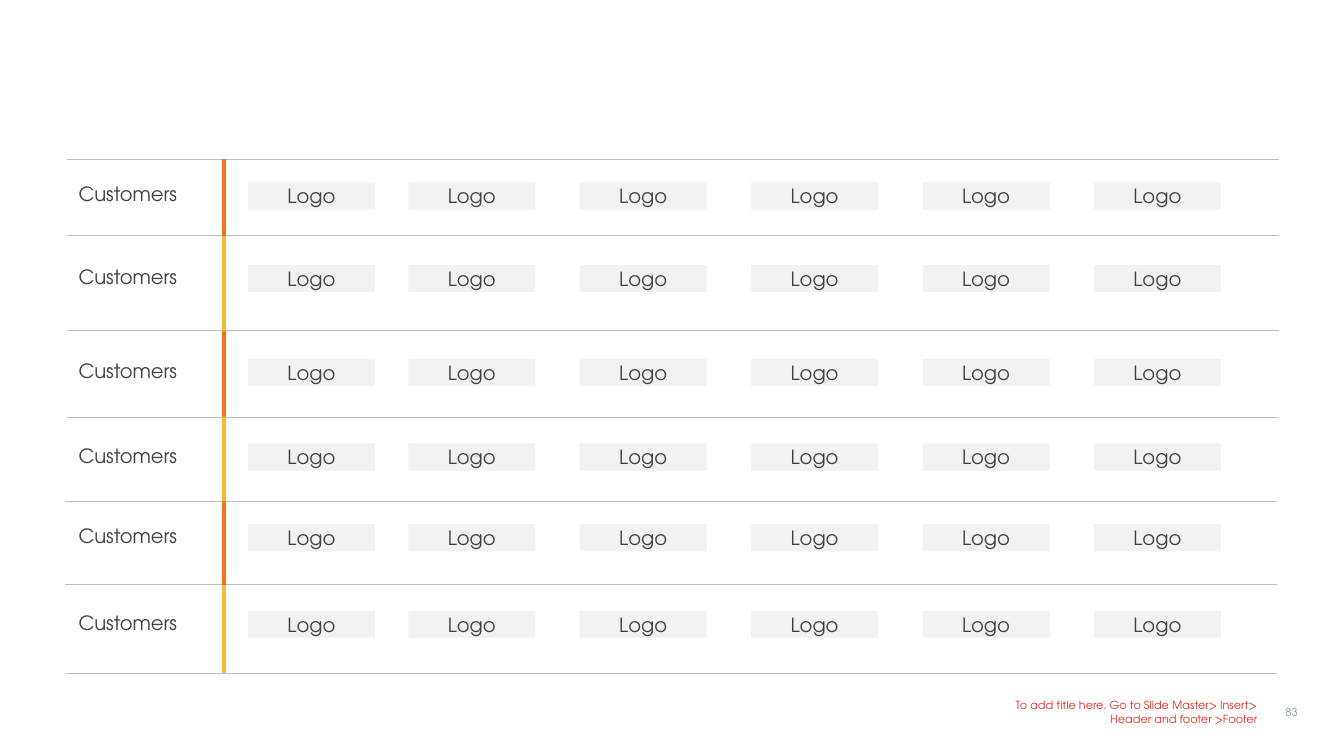
from lxml import etree
from pptx import Presentation
from pptx.dml.color import RGBColor
from pptx.enum import shapes, text
from pptx.oxml import ns
from pptx.util import Inches, Pt

FONT = "TeX Gyre Adventor"
INK = RGBColor(0x41, 0x40, 0x43)
RULE_GRAY = RGBColor(0xBF, 0xBF, 0xBF)
TILE_GRAY = RGBColor(0xF2, 0xF2, 0xF2)
ORANGE = RGBColor(0xF0, 0x76, 0x24)
YELLOW = RGBColor(0xF4, 0xBD, 0x2D)
RED = RGBColor(0xDA, 0x31, 0x26)
NUMBER_GRAY = RGBColor(0x88, 0x9D, 0xAC)

deck = Presentation()
deck.slide_width, deck.slide_height = Inches(13.33), Inches(7.5)
page = deck.slides.add_slide(deck.slide_layouts[6])


def write(box, words, size, color, align, **frame_format):
    frame = box.text_frame
    for name, value in {"word_wrap": True, **frame_format}.items():
        setattr(frame, name, value)
    para = frame.paragraphs[0]
    para.alignment = align
    span = para.add_run()
    span.text = words
    for name, value in {"name": FONT, "size": Pt(size)}.items():
        setattr(span.font, name, value)
    span.font.color.rgb = color
    return span


def draw_line(x1, y1, x2, y2, color, width):
    line = page.shapes.add_connector(
        shapes.MSO_CONNECTOR.STRAIGHT, Inches(x1), Inches(y1), Inches(x2), Inches(y2))
    line.line.color.rgb = color
    line.line.width = Pt(width)
    etree.SubElement(line._element.spPr, ns.qn("a:effectLst"))


rule_tops = [1.58, 2.34, 3.28, 4.14, 4.97, 5.8, 6.68]
row_tops = [1.81, 2.63, 3.56, 4.4, 5.2, 6.06]
tile_lefts = [2.46] + [4.05 + 1.7 * column for column in range(5)]

for index, top in enumerate(rule_tops):
    left = 0.66 if index < 4 else 0.64
    draw_line(left, top, left + 12.03, top, RULE_GRAY, 0.5)

for row, top in enumerate(row_tops):
    accent = YELLOW if row % 2 else ORANGE
    draw_line(2.22, rule_tops[row], 2.22, rule_tops[row + 1], accent, 3)

    label = page.shapes.add_textbox(Inches(0.78), Inches(top), Inches(1.26), Inches(0.24))
    span = write(label, "Customers", 14, INK, text.PP_ALIGN.LEFT,
                 margin_left=0, margin_right=0, margin_top=0, margin_bottom=0,
                 auto_size=text.MSO_AUTO_SIZE.SHAPE_TO_FIT_TEXT)
    span.font._element.set("spc", "-10")

    for left in tile_lefts:
        tile = page.shapes.add_shape(
            shapes.MSO_SHAPE.RECTANGLE, Inches(left), Inches(top), Inches(1.26), Inches(0.27))
        tile.shadow.inherit = False
        tile.fill.solid()
        tile.fill.fore_color.rgb = TILE_GRAY
        tile.line.fill.background()
        write(tile, "Logo", 14, INK, text.PP_ALIGN.CENTER,
              vertical_anchor=text.MSO_ANCHOR.MIDDLE)

footer = page.shapes.add_textbox(Inches(9.83), Inches(6.94), Inches(2.74), Inches(0.25))
write(footer, "To add title here. Go to Slide Master> Insert> Header and footer >Footer",
      8, RED, text.PP_ALIGN.RIGHT, vertical_anchor=text.MSO_ANCHOR.MIDDLE)

number = page.shapes.add_textbox(Inches(12.41), Inches(6.95), Inches(0.56), Inches(0.24))
write(number, "83", 8, NUMBER_GRAY, text.PP_ALIGN.RIGHT,
      auto_size=text.MSO_AUTO_SIZE.SHAPE_TO_FIT_TEXT)

deck.save("out.pptx")
